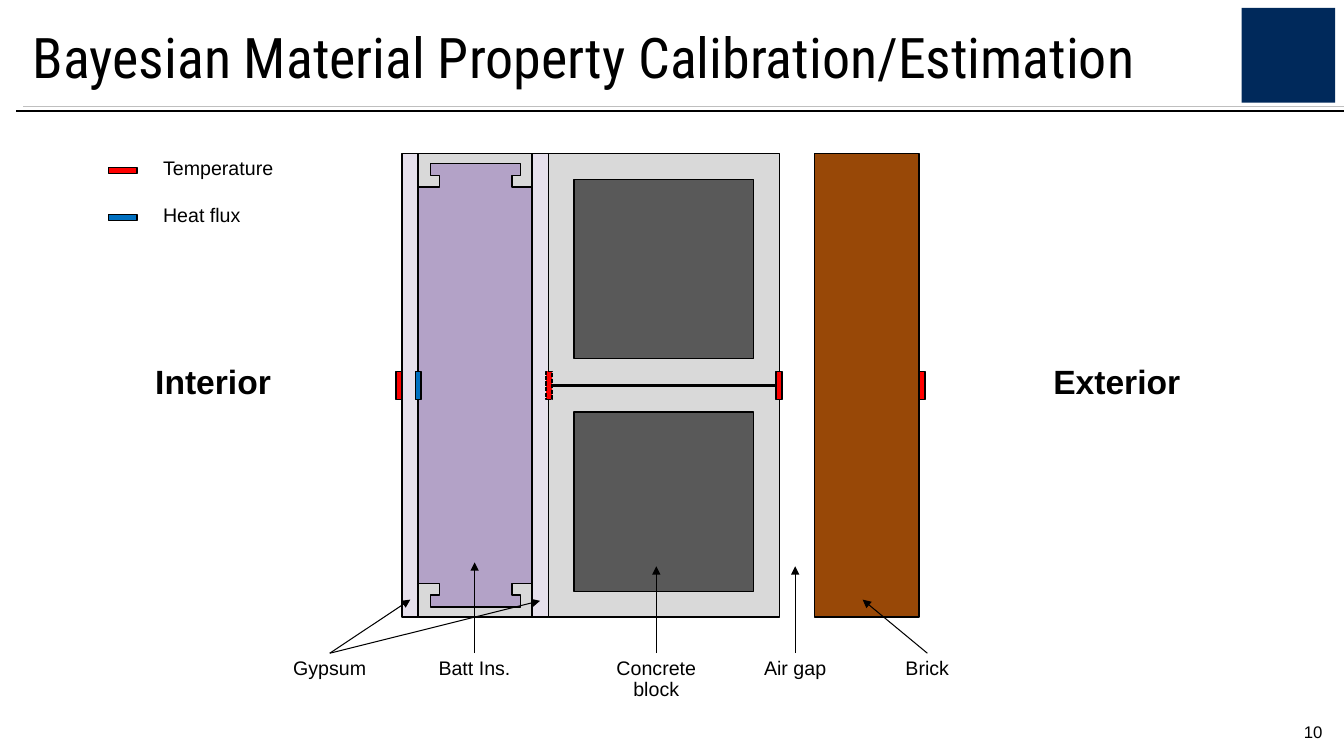
from lxml import etree
from pptx import Presentation
from pptx.dml.color import RGBColor
from pptx.enum.dml import MSO_LINE
from pptx.enum.shapes import MSO_CONNECTOR, MSO_SHAPE
from pptx.enum.text import MSO_ANCHOR, PP_ALIGN
from pptx.oxml.ns import qn
from pptx.util import Cm, Pt

RECTANGLE = MSO_SHAPE.RECTANGLE
STRAIGHT = MSO_CONNECTOR.STRAIGHT
LEFT, CENTER, RIGHT = PP_ALIGN.LEFT, PP_ALIGN.CENTER, PP_ALIGN.RIGHT
TOP, MIDDLE = MSO_ANCHOR.TOP, MSO_ANCHOR.MIDDLE
DASH = MSO_LINE.SQUARE_DOT

BLACK = RGBColor(0x00, 0x00, 0x00)
RULE_GRAY = RGBColor(0xBF, 0xBF, 0xBF)
NAVY = RGBColor(0x00, 0x29, 0x5B)
BATT = RGBColor(0xB3, 0xA2, 0xC7)
GYPSUM = RGBColor(0xE6, 0xE0, 0xEC)
CONCRETE = RGBColor(0xD9, 0xD9, 0xD9)
CAVITY = RGBColor(0x59, 0x59, 0x59)
BRICK = RGBColor(0x98, 0x48, 0x07)
RED = RGBColor(0xFF, 0x00, 0x00)
BLUE = RGBColor(0x00, 0x70, 0xC0)

SLIDE_WIDTH, SLIDE_HEIGHT = 33.87, 19.05
TITLE = "Bayesian Material Property Calibration/Estimation"
PAGE_NUMBER = "10"
HEADER_RULES = [(0.41, 2.79, BLACK, 1.5), (0.58, 2.69, RULE_GRAY, 0.5)]

WALL_TOP, WALL_HEIGHT = 3.87, 11.68
WALL_BOTTOM = WALL_TOP + WALL_HEIGHT
WALL_MIDDLE = WALL_TOP + WALL_HEIGHT / 2
BATT_LEFT, BATT_WIDTH = 10.55, 2.87
BRICK_LAYER = (20.52, 2.64, BRICK)
GYPSUM_LAYERS = [(13.41, 0.41, GYPSUM), (10.13, 0.41, GYPSUM)]
BLOCK_LEFT, BLOCK_SIZE, CAVITY_SIZE = 13.82, 5.82, 4.52
CHANNEL_DEPTH, CHANNEL_LIP, CHANNEL_WALL, LIP_DEPTH, WEB = 0.84, 0.52, 0.3, 0.56, 0.25

SENSOR_LONG, SENSOR_SHORT = 0.71, 0.15
SENSORS = [
    (10.06, RED, None),
    (13.84, RED, DASH),
    (19.63, RED, None),
    (23.24, RED, None),
    (10.54, BLUE, None),
]
LEGEND = [("Temperature", RED), ("Heat flux", BLUE)]
LEGEND_TOP, LEGEND_STEP = 3.86, 1.19
SIDES = [("Interior", 3.45, 3.84), ("Exterior", 26.01, 4.27)]

LABEL_TOP, LABEL_WIDTH, LABEL_HEIGHT = 16.46, 3.25, 0.79
CALLOUTS = [
    ("Gypsum", 8.31, [(10.34, 15.11), (13.61, 15.14)]),
    ("Batt Ins.", 11.96, [(11.96, 14.17)]),
    ("Concrete block", 16.54, [(16.54, 14.27)]),
    ("Air gap", 20.04, [(20.04, 14.27)]),
    ("Brick", 23.37, [(21.74, 15.11)]),
]


def style(shape, color, dash=None):
    shape.shadow.inherit = False
    shape.fill.solid()
    shape.fill.fore_color.rgb = color
    shape.line.color.rgb = BLACK
    shape.line.width = Pt(1)
    if dash:
        shape.line.dash_style = dash


def add_box(slide, left, top, width, height, color, dash=None):
    shape = slide.shapes.add_shape(RECTANGLE, Cm(left), Cm(top), Cm(width), Cm(height))
    style(shape, color, dash)
    return shape


def add_layer(slide, left, width, color):
    add_box(slide, left, WALL_TOP, width, WALL_HEIGHT, color)


def add_text(slide, text, left, top, width, height, size, align=LEFT,
             anchor=TOP, font="Arial", bold=False, spacing=0.9):
    box = slide.shapes.add_textbox(Cm(left), Cm(top), Cm(width), Cm(height))
    frame = box.text_frame
    frame.word_wrap = True
    frame.vertical_anchor = anchor
    paragraph = frame.paragraphs[0]
    paragraph.text = text
    paragraph.alignment = align
    paragraph.line_spacing = spacing
    paragraph.font.name = font
    paragraph.font.size = Pt(size)
    paragraph.font.bold = bold
    paragraph.font.color.rgb = BLACK
    return box


def add_line(slide, start, end, color, width, arrow=False):
    line = slide.shapes.add_connector(STRAIGHT, *(Cm(value) for value in start + end))
    line.line.color.rgb = color
    line.line.width = Pt(width)
    if arrow:
        etree.SubElement(line.line._get_or_add_ln(), qn("a:tailEnd"), type="triangle")
    etree.SubElement(line._element.spPr, qn("a:effectLst"))
    return line


def add_channel(slide, edge, direction):
    half = [
        (0, 0), (0, CHANNEL_DEPTH), (CHANNEL_LIP, CHANNEL_DEPTH), (CHANNEL_LIP, LIP_DEPTH),
        (CHANNEL_WALL, LIP_DEPTH), (CHANNEL_WALL, WEB),
    ]
    outline = half + [(BATT_WIDTH - x, y) for x, y in reversed(half)]
    points = [(Cm(BATT_LEFT + x), Cm(edge + direction * y)) for x, y in outline]
    builder = slide.shapes.build_freeform(*points[0])
    builder.add_line_segments(points[1:], close=True)
    style(builder.convert_to_shape(), CONCRETE)


def add_header(slide):
    for left, top, color, width in HEADER_RULES:
        add_line(slide, (SLIDE_WIDTH, top), (left, top), color, width)
    emblem = add_box(slide, 31.29, 0.2, 2.36, 2.39, NAVY)
    emblem.line.fill.background()
    add_text(slide, TITLE, 0.58, 0.41, 30.35, 2.01, 40,
             anchor=MIDDLE, font="Roboto Condensed", spacing=1.0)
    add_text(slide, PAGE_NUMBER, 25.96, 17.93, 7.62, 1.02, 12, RIGHT, MIDDLE, spacing=1.0)


def add_wall(slide):
    add_layer(slide, BATT_LEFT, BATT_WIDTH, BATT)
    add_channel(slide, WALL_BOTTOM, -1)
    add_channel(slide, WALL_TOP, 1)
    inset = (BLOCK_SIZE - CAVITY_SIZE) / 2
    for top in (WALL_BOTTOM - BLOCK_SIZE, WALL_TOP):
        add_box(slide, BLOCK_LEFT, top, BLOCK_SIZE, BLOCK_SIZE, CONCRETE)
        add_box(slide, BLOCK_LEFT + inset, top + inset, CAVITY_SIZE, CAVITY_SIZE, CAVITY)
    for layer in [BRICK_LAYER] + GYPSUM_LAYERS:
        add_layer(slide, *layer)
    for center, color, dash in SENSORS:
        add_box(slide, center - SENSOR_SHORT / 2, WALL_MIDDLE - SENSOR_LONG / 2,
                SENSOR_SHORT, SENSOR_LONG, color, dash)


def add_labels(slide):
    for index, (text, color) in enumerate(LEGEND):
        top = LEGEND_TOP + index * LEGEND_STEP
        add_box(slide, 2.74, top + 0.36, SENSOR_LONG, SENSOR_SHORT, color)
        add_text(slide, text, 3.86, top, 4.45, LABEL_HEIGHT, 14)
    for text, left, width in SIDES:
        add_text(slide, text, left, 9.09, width, 1.17, 24, CENTER, bold=True)
    for text, center, tips in CALLOUTS:
        label = add_text(slide, text, center - LABEL_WIDTH / 2, LABEL_TOP,
                         LABEL_WIDTH, LABEL_HEIGHT, 14, CENTER)
        for tip in tips:
            arrow = add_line(slide, (center, LABEL_TOP), tip, BLACK, 0.75, arrow=True)
            arrow.begin_connect(label, 0)


def main():
    presentation = Presentation()
    presentation.slide_width = Cm(SLIDE_WIDTH)
    presentation.slide_height = Cm(SLIDE_HEIGHT)
    slide = presentation.slides.add_slide(presentation.slide_layouts[6])
    add_header(slide)
    add_wall(slide)
    add_labels(slide)
    presentation.save("out.pptx")


if __name__ == "__main__":
    main()
